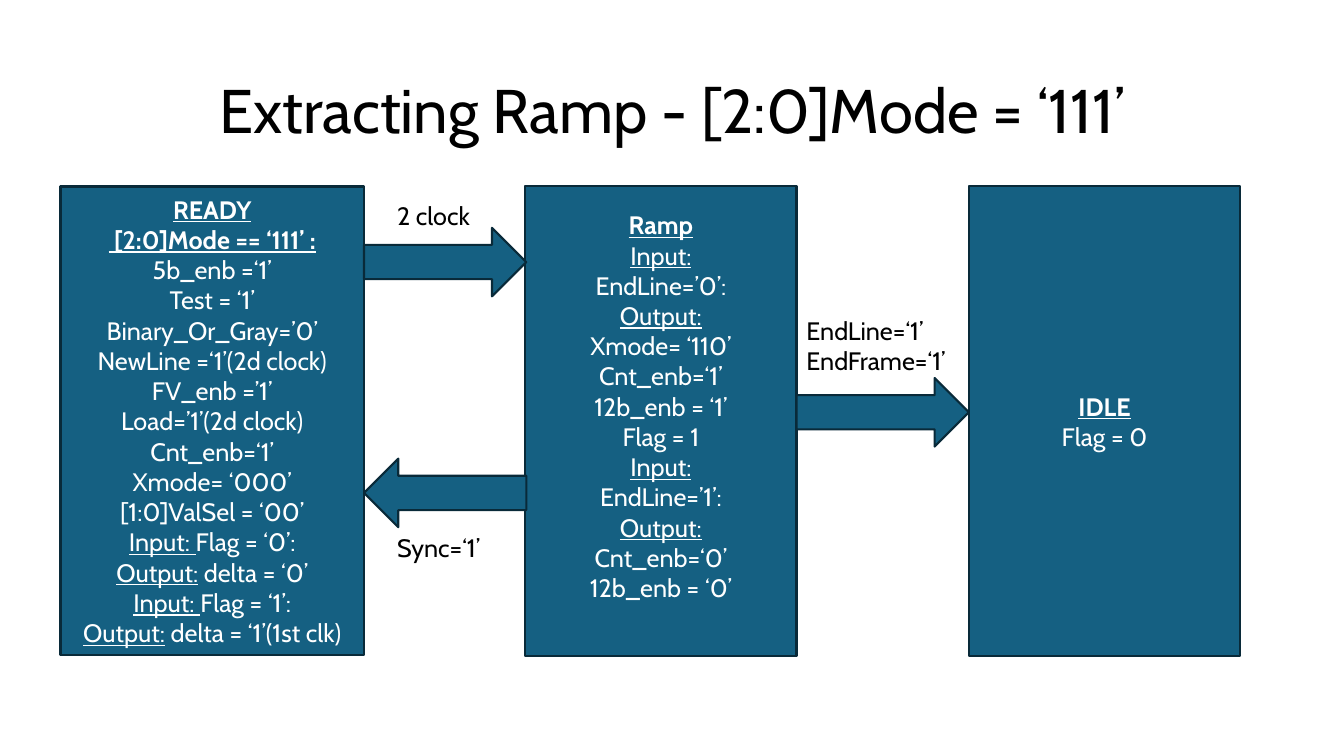
import dataclasses
import pptx
import pptx.dml.color
import pptx.enum.shapes
import pptx.enum.text
import pptx.util

SHAPE = pptx.enum.shapes.MSO_SHAPE
ALIGN = pptx.enum.text.PP_ALIGN
ANCHOR = pptx.enum.text.MSO_ANCHOR
FIT = pptx.enum.text.MSO_AUTO_SIZE
SCALE = 9144


@dataclasses.dataclass
class Theme:
    """Colours, font and type sizes of the slide."""
    font: str = "Cabin"
    ink: str = "000000"
    pale: str = "FFFFFF"
    fill: str = "156082"
    edge: str = "092A39"
    title: int = 44
    body: int = 18
    line: float = 1.5


def color(code):
    """Return a colour object for a hex code."""
    return pptx.dml.color.RGBColor.from_string(code)


def place(*sizes):
    """Turn px into EMU."""
    return [pptx.util.Emu(size * SCALE) for size in sizes]


class Chart:
    """Draw the parts of a state chart on one slide."""

    def __init__(self, slide, theme):
        """Keep the slide and the theme."""
        self.slide = slide
        self.theme = theme

    def style(self, run, size, ink, bold=False, under=False):
        """Format one run."""
        font = run.font
        font.name = self.theme.font
        font.size = pptx.util.Pt(size)
        font.color.rgb = color(ink)
        font.bold = bold
        font.underline = under

    def title(self, text, *area):
        """Fill and move the title placeholder."""
        shape = self.slide.shapes.title
        shape.left, shape.top, shape.width, shape.height = place(*area)
        frame = shape.text_frame
        frame.text = text
        frame.auto_size = FIT.NONE
        frame.vertical_anchor = ANCHOR.MIDDLE
        para = frame.paragraphs[0]
        para.alignment = ALIGN.CENTER
        para.line_spacing = 0.9
        self.style(para.runs[0], self.theme.title, self.theme.ink)

    def solid(self, kind, *area):
        """Add a filled and outlined shape."""
        shape = self.slide.shapes.add_shape(kind, *place(*area))
        shape.shadow.inherit = False
        shape.fill.solid()
        shape.fill.fore_color.rgb = color(self.theme.fill)
        shape.line.color.rgb = color(self.theme.edge)
        shape.line.width = pptx.util.Pt(self.theme.line)
        return shape

    def state(self, heads, lines, *area, foot=5):
        """Add a state box; text before a bar is underlined."""
        frame = self.solid(SHAPE.RECTANGLE, *area).text_frame
        frame.word_wrap = True
        frame.vertical_anchor = ANCHOR.MIDDLE
        frame.margin_bottom = place(foot)[0]
        frame.text = "\n".join(heads + lines)
        for index, para in enumerate(frame.paragraphs):
            para.alignment = ALIGN.CENTER
            head = index < len(heads)
            label, bar, rest = para.text.rpartition("|")
            if bar:
                para.text = label
                if rest:
                    para.add_run().text = rest
            for spot, run in enumerate(para.runs):
                under = head or (bool(bar) and spot == 0)
                self.style(run, self.theme.body, self.theme.pale, head, under)

    def arrow(self, *area, turn=0):
        """Add a block arrow."""
        self.solid(SHAPE.RIGHT_ARROW, *area).rotation = turn

    def label(self, text, *area):
        """Add a label beside an arrow."""
        frame = self.slide.shapes.add_textbox(*place(*area)).text_frame
        frame.word_wrap = False
        frame.auto_size = FIT.SHAPE_TO_FIT_TEXT
        frame.text = text
        for para in frame.paragraphs:
            para.alignment = ALIGN.LEFT
            self.style(para.runs[0], self.theme.body, self.theme.ink)


READY = [
    "5b_enb =‘1’", "Test = ‘1’", "Binary_Or_Gray=’0’",
    "NewLine =‘1’(2d clock)", "FV_enb =’1’", "Load=’1’(2d clock)",
    "Cnt_enb=‘1’", "Xmode= ‘000’", "[1:0]ValSel = ‘00’",
    "Input: |Flag = ‘0’:", "Output:| delta = ‘0’",
    "Input: |Flag = ‘1’:", "Output:| delta = ‘1’(1st clk)",
]
RAMP = [
    "Input:|", "EndLine=’0’:", "Output:|", "Xmode= ‘110’", "Cnt_enb=‘1’",
    "12b_enb = ‘1’", "Flag = 1", "Input:|", "EndLine=’1’:", "Output:|",
    "Cnt_enb=‘0’", "12b_enb = ‘0’",
]


def main():
    """Build and save the slide."""
    deck = pptx.Presentation()
    deck.slide_width, deck.slide_height = place(1333, 750)
    chart = Chart(deck.slides.add_slide(deck.slide_layouts[5]), Theme())
    chart.title("Extracting Ramp - [2:0]Mode = ‘111’", 92, 40, 1150, 145)
    chart.state(["READY", " [2:0]Mode == ‘111’ :"], READY, 60, 185, 301, 465)
    chart.state(["Ramp"], RAMP, 521, 185, 269, 466, foot=35)
    chart.state(["IDLE"], ["Flag = 0"], 961, 185, 269, 466)
    chart.arrow(361, 226, 161, 68)
    chart.arrow(361, 455, 161, 68, turn=180)
    chart.arrow(790, 375, 171, 68)
    chart.label("2 clock", 384, 194, 98, 40)
    chart.label("Sync=‘1’", 384, 523, 114, 40)
    chart.label("EndLine=‘1’\nEndFrame=‘1’", 790, 308, 171, 71)
    deck.save("out.pptx")


if __name__ == "__main__":
    main()
